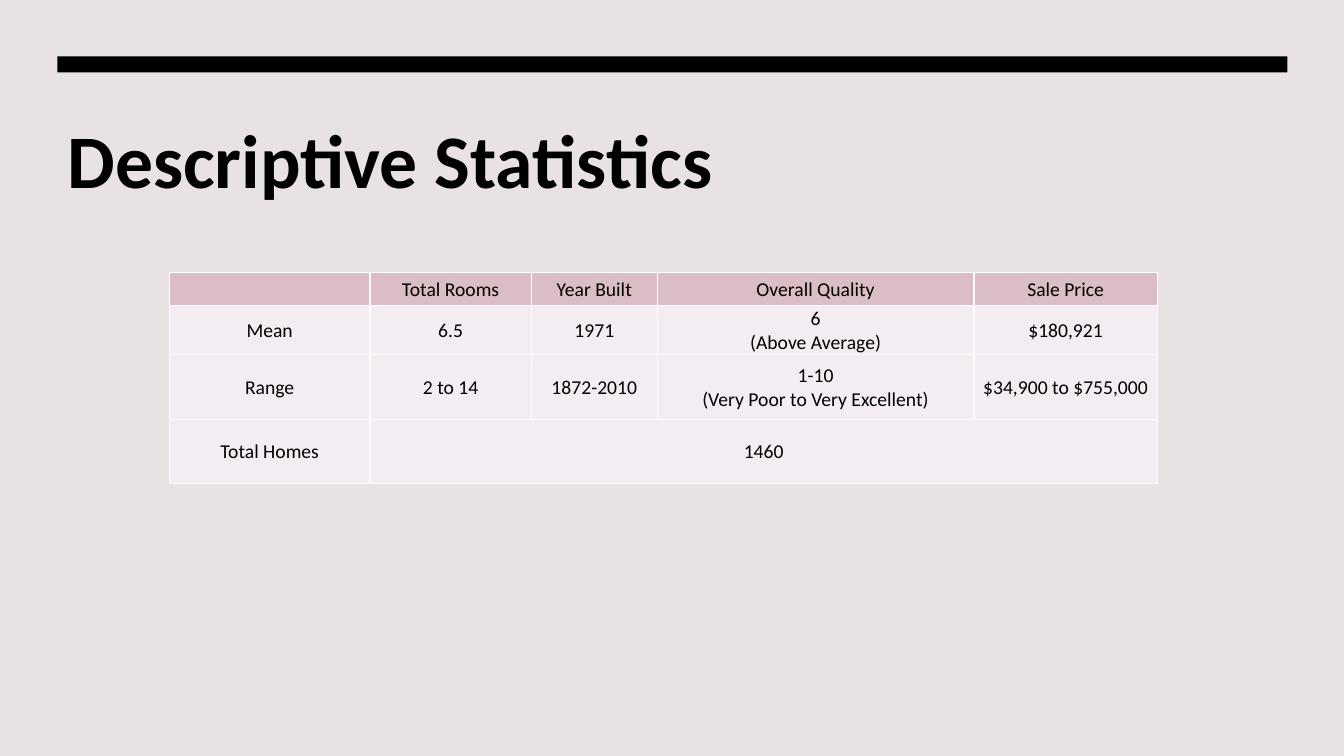
import pptx
import pptx.util
import pptx.dml.color
import pptx.enum.shapes
import pptx.enum.text
import pptx.oxml
import pptx.oxml.ns

Inches = pptx.util.Inches
ALIGN = pptx.enum.text.PP_ALIGN
ANCHOR = pptx.enum.text.MSO_ANCHOR
HEAD, BODY = "DBBDC5", "F3ECF3"
COLS = [1.99, 1.6, 1.25, 3.14, 1.82]
ROWS = [0.33, 0.49, 0.64, 0.64]
DATA = [
    ["", "Total Rooms", "Year Built", "Overall Quality", "Sale Price"],
    ["Mean", "6.5", "1971", "6\n(Above Average)", "$180,921"],
    ["Range", "2 to 14", "1872-2010", "1-10\n(Very Poor to Very Excellent)",
     "$34,900 to $755,000"],
    ["Total Homes", "1460"],
]


def paint(fill, color):
    """Give a fill one solid colour."""
    fill.solid()
    fill.fore_color.rgb = pptx.dml.color.RGBColor.from_string(color)


def write(frame, text, size=14, bold=False, color="000000", align=ALIGN.CENTER):
    """Fill a text frame, one paragraph for each line."""
    frame.word_wrap = True
    for i, line in enumerate(text.split("\n")):
        para = frame.add_paragraph() if i else frame.paragraphs[0]
        para.alignment = align
        run = para.add_run()
        run.text = line
        font = run.font
        font.name, font.size, font.bold = "Calibri", pptx.util.Pt(size), bold
        paint(font.fill, color)


def edge(cell, color="FFFFFF", width=1):
    """Draw the four borders of a table cell."""
    props = cell._tc.get_or_add_tcPr()
    for i, side in enumerate(["lnL", "lnR", "lnT", "lnB"]):
        props.insert(i, pptx.oxml.parse_xml(
            f'<a:{side} {pptx.oxml.ns.nsdecls("a")} w="{pptx.util.Pt(width)}">'
            f'<a:solidFill><a:srgbClr val="{color}"/></a:solidFill></a:{side}>'))


def header(slide, left, top, width):
    """Place the black bar and the title under it."""
    bar = slide.shapes.add_shape(
        pptx.enum.shapes.MSO_SHAPE.RECTANGLE,
        Inches(left), Inches(top), Inches(width), Inches(0.16))
    bar.shadow.inherit = False
    paint(bar.fill, "000000")
    bar.line.fill.background()
    title = slide.shapes.add_textbox(
        Inches(left), Inches(top + 0.51), Inches(width), Inches(1.79))
    write(title.text_frame, "Descriptive Statistics", size=54, bold=True,
          align=ALIGN.LEFT)


def stats(slide, left, top):
    """Place the table of home statistics."""
    table = slide.shapes.add_table(
        len(ROWS), len(COLS), Inches(left), Inches(top),
        Inches(sum(COLS)), Inches(sum(ROWS))).table
    for col, width in zip(table.columns, COLS):
        col.width = Inches(width)
    for row, height in zip(table.rows, ROWS):
        row.height = Inches(height)
    table.cell(3, 1).merge(table.cell(3, 4))
    for r in range(len(ROWS)):
        for c in range(len(COLS)):
            cell = table.cell(r, c)
            paint(cell.fill, BODY if r else HEAD)
            edge(cell)
            cell.vertical_anchor = ANCHOR.MIDDLE
            cell.margin_left = cell.margin_right = Inches(0.01)
            cell.margin_top, cell.margin_bottom = Inches(0.01), 0
            if c < len(DATA[r]) and DATA[r][c]:
                write(cell.text_frame, DATA[r][c])


def main():
    """Build the slide and save it."""
    deck = pptx.Presentation()
    deck.slide_width, deck.slide_height = Inches(13.33), Inches(7.5)
    slide = deck.slides.add_slide(deck.slide_layouts[6])
    paint(slide.background.fill, "E8E2E3")
    header(slide, 0.57, 0.56, 12.2)
    stats(slide, 1.68, 2.7)
    deck.save("out.pptx")


main()
